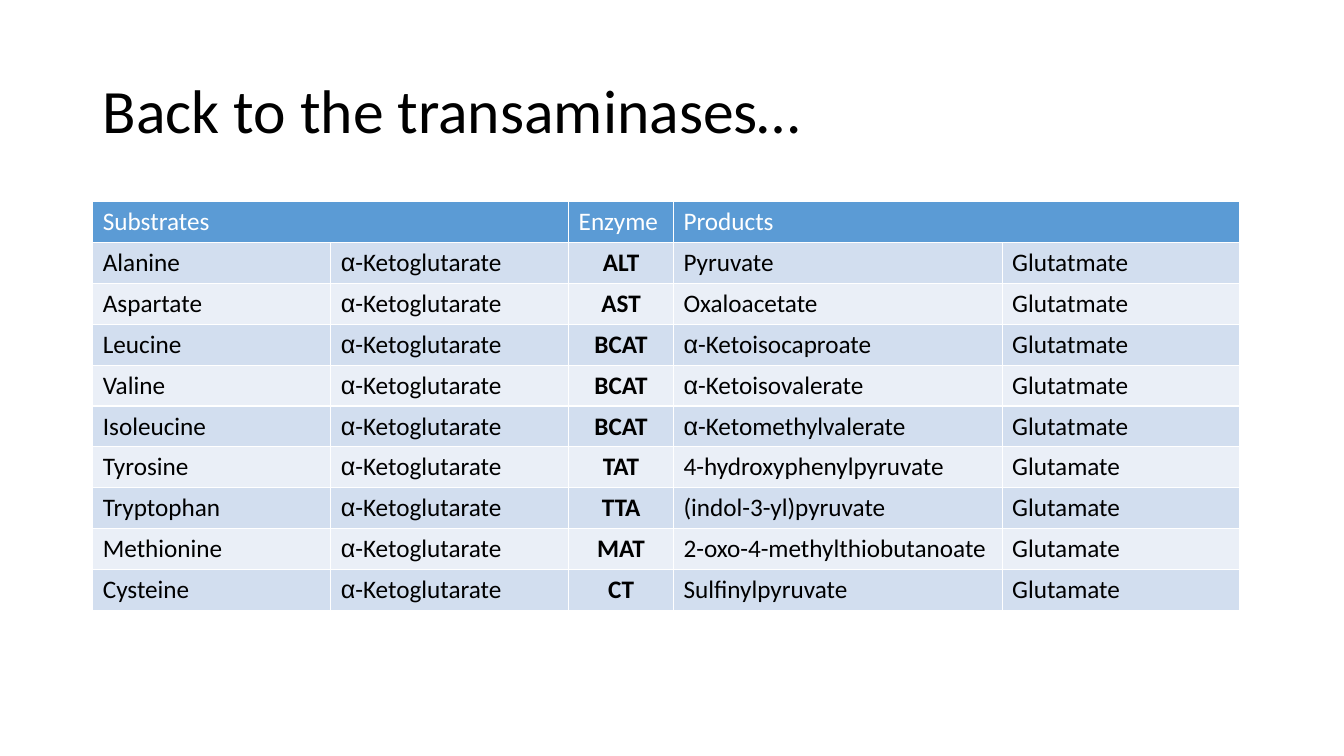
from dataclasses import dataclass

from pptx import Presentation
from pptx.dml.color import RGBColor
from pptx.enum.text import MSO_ANCHOR as Anchor, MSO_AUTO_SIZE as AutoSize, PP_ALIGN as Align
from pptx.slide import Slide
from pptx.table import Table, _Cell as Cell
from pptx.util import Emu, Pt

PX = 9144  # 100 px to the inch
COLORS = {
    "header": "5B9BD5",
    "odd": "D2DEEF",
    "even": "EAEFF7",
    "light": "FFFFFF",
    "text": "000000",
}
FONT, GREEK_FONT = "Calibri", "Arial"
ALPHA = "α"
COLUMN_WIDTHS = (236, 236, 104, 326, 236)
ROW_HEIGHT = 40
ENZYME_COLUMN = 2
HEADERS = ("Substrates", "", "Enzyme", "Products", "")
MERGED_HEADERS = ((0, 1), (3, 4))


@dataclass(frozen=True)
class Reaction:
    amino_acid: str
    enzyme: str
    product: str
    coproduct: str

    def cells(self) -> tuple[str, ...]:
        return (self.amino_acid, "α-Ketoglutarate", self.enzyme, self.product, self.coproduct)


REACTIONS = (
    Reaction("Alanine", "ALT", "Pyruvate", "Glutatmate"),
    Reaction("Aspartate", "AST", "Oxaloacetate", "Glutatmate"),
    Reaction("Leucine", "BCAT", "α-Ketoisocaproate", "Glutatmate"),
    Reaction("Valine", "BCAT", "α-Ketoisovalerate", "Glutatmate"),
    Reaction("Isoleucine", "BCAT", "α-Ketomethylvalerate", "Glutatmate"),
    Reaction("Tyrosine", "TAT", "4-hydroxyphenylpyruvate", "Glutamate"),
    Reaction("Tryptophan", "TTA", "(indol-3-yl)pyruvate", "Glutamate"),
    Reaction("Methionine", "MAT", "2-oxo-4-methylthiobutanoate", "Glutamate"),
    Reaction("Cysteine", "CT", "Sulfinylpyruvate", "Glutamate"),
)


def px(length: int) -> Emu:
    return Emu(length * PX)


def color(name: str) -> RGBColor:
    return RGBColor.from_string(COLORS[name])


def add_title(page: Slide, text: str) -> None:
    title = page.shapes.title
    title.left, title.top, title.width, title.height = map(px, (92, 40, 1150, 145))
    frame = title.text_frame
    frame.text = text
    frame.word_wrap = True
    frame.auto_size = AutoSize.NONE
    frame.vertical_anchor = Anchor.MIDDLE
    para = frame.paragraphs[0]
    para.alignment = Align.LEFT
    para.line_spacing = 0.9
    para.font.name, para.font.size = FONT, Pt(44)
    para.font.color.rgb = color("text")


def fill_cell(cell: Cell, text: str, fill: str, ink: str, strong: bool = False) -> None:
    cell.fill.solid()
    cell.fill.fore_color.rgb = color(fill)
    if not text:
        return
    para = cell.text_frame.paragraphs[0]
    para.alignment = Align.CENTER if strong else Align.LEFT
    para.font.name, para.font.size = FONT, Pt(18)
    para.font.bold = strong
    para.font.color.rgb = color(ink)
    # The Greek prefix has its own font
    if text.startswith(ALPHA):
        span = para.add_run()
        span.text = ALPHA
        span.font.name = GREEK_FONT
    para.add_run().text = text.removeprefix(ALPHA)


def add_reaction_table(page: Slide) -> None:
    row_count = len(REACTIONS) + 1
    frame = page.shapes.add_table(
        row_count, len(COLUMN_WIDTHS), px(92), px(200),
        px(sum(COLUMN_WIDTHS)), px(row_count * ROW_HEIGHT),
    )
    table: Table = frame.table
    for column, width in zip(table.columns, COLUMN_WIDTHS):
        column.width = px(width)

    # Header row
    for index, header in enumerate(HEADERS):
        fill_cell(table.cell(0, index), header, "header", "light")
    for first, last in MERGED_HEADERS:
        table.cell(0, first).merge(table.cell(0, last))

    # Reaction rows in alternating bands
    for row, reaction in enumerate(REACTIONS, start=1):
        band = "odd" if row % 2 else "even"
        for index, text in enumerate(reaction.cells()):
            fill_cell(table.cell(row, index), text, band, "text", index == ENZYME_COLUMN)


def main() -> None:
    deck = Presentation()
    deck.slide_width, deck.slide_height = px(1333), px(750)
    page = deck.slides.add_slide(deck.slide_layouts.get_by_name("Title Only"))
    add_title(page, "Back to the transaminases…")
    add_reaction_table(page)
    deck.save("out.pptx")


if __name__ == "__main__":
    main()
